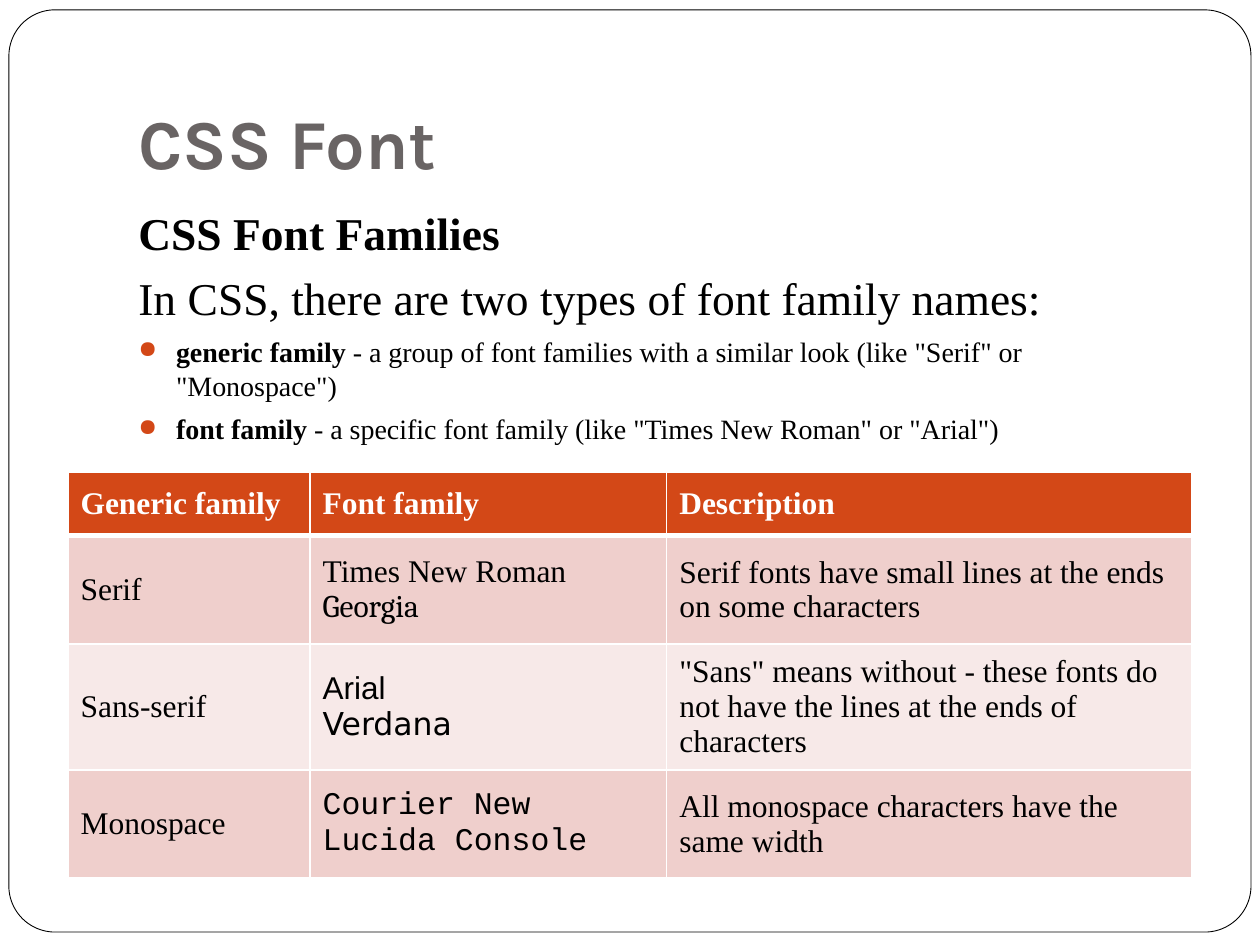
from lxml import etree
from pptx import Presentation, util as u
from pptx.dml.color import RGBColor
from pptx.enum import shapes, text
from pptx.oxml.ns import qn

SERIF = "Times New Roman"
BLACK, WHITE, ORANGE, GREY = "000000", "FFFFFF", "D34817", "696464"
BANDS = ["EFCFCC", "F7E9E8"]


def color(value):
    """Return a colour from a hex string."""
    return RGBColor.from_string(value)


def child(parent, tag, **attributes):
    """Append a DrawingML element with attributes."""
    element = etree.SubElement(parent, qn("a:" + tag))
    for name, value in attributes.items():
        element.set(name, str(value))
    return element


class SlideBuilder:
    """Holds the current slide and its text style."""

    def __init__(self, slide):
        self.slide = slide

    def style(self, font, size, ink=BLACK, bold=None, name=SERIF):
        """Set the main font properties."""
        font.name, font.size, font.bold = name, u.Pt(size), bold
        font.color.rgb = color(ink)

    def frame(self, left, top, width, height):
        """Draw the rounded outline around the slide."""
        shape = self.slide.shapes.add_shape(
            shapes.MSO_SHAPE.ROUNDED_RECTANGLE,
            u.Cm(left), u.Cm(top), u.Cm(width), u.Cm(height))
        shape.adjustments[0] = 0.05
        shape.shadow.inherit = False
        shape.fill.solid()
        shape.fill.fore_color.rgb = color(WHITE)
        shape.line.color.rgb = color(BLACK)
        shape.line.width = u.Pt(0.5)

    def text_box(self, left, top, width, height, anchor=text.MSO_ANCHOR.TOP):
        """Add a wrapping text box and return its text frame."""
        shape = self.slide.shapes.add_textbox(
            u.Cm(left), u.Cm(top), u.Cm(width), u.Cm(height))
        text_frame = shape.text_frame
        text_frame.word_wrap = True
        text_frame.vertical_anchor = anchor
        return text_frame

    def title(self, words, *place):
        """Add the slide title."""
        text_frame = self.text_box(*place, anchor=text.MSO_ANCHOR.BOTTOM)
        text_frame.margin_bottom = u.Cm(0.25)
        paragraph = text_frame.paragraphs[0]
        paragraph.text = words
        self.style(paragraph.font, 40, GREY, True, "Karla")

    def body(self, items, *place):
        """Add paragraphs given as (size, bulleted, bold words, plain words)."""
        text_frame = self.text_box(*place)
        for index, (size, bulleted, strong, plain) in enumerate(items):
            paragraph = (text_frame.add_paragraph() if index
                         else text_frame.paragraphs[0])
            paragraph.space_before = u.Pt(5.8)
            self.style(paragraph.font, size)
            for words, bold in ((strong, True), (plain, False)):
                if words:
                    run = paragraph.add_run()
                    run.text, run.font.bold = words, bold
            self.hang(paragraph, bulleted)

    def hang(self, paragraph, bulleted):
        """Give a paragraph a hanging indent and, if asked, a bullet."""
        properties = paragraph._p.get_or_add_pPr()
        properties.set("marL", str(u.Cm(0.76)))
        properties.set("indent", str(-u.Cm(0.76)))
        bullet = []
        if bulleted:
            holder = child(properties, "buClr")
            child(holder, "srgbClr", val=ORANGE)
            bullet = [holder, child(properties, "buSzPct", val=85000),
                      child(properties, "buChar", char="●")]
        defaults = properties.find(qn("a:defRPr"))
        for element in bullet:
            defaults.addprevious(element)

    def table(self, rows, left, top, widths, heights):
        """Add a table whose cells are lists of (words, font) lines."""
        table = self.slide.shapes.add_table(
            len(rows), len(widths), u.Cm(left), u.Cm(top),
            u.Cm(sum(widths)), u.Cm(sum(heights))).table
        for column, width in zip(table.columns, widths):
            column.width = u.Cm(width)
        for index, (row, height) in enumerate(zip(rows, heights)):
            table.rows[index].height = u.Cm(height)
            for position, lines in enumerate(row):
                self.cell(table.cell(index, position), lines, index)

    def cell(self, cell, lines, row):
        """Fill one table cell and draw its borders."""
        header = row == 0
        cell.vertical_anchor = text.MSO_ANCHOR.MIDDLE
        paragraph = cell.text_frame.paragraphs[0]
        self.style(paragraph.font, 18, WHITE if header else BLACK, header)
        for index, (words, name) in enumerate(lines):
            if index:
                paragraph.add_line_break()
            run = paragraph.add_run()
            run.text, run.font.name = words, name
        properties = cell._tc.get_or_add_tcPr()
        widths = {"lnL": 1, "lnR": 1, "lnT": 3 if row == 1 else 1,
                  "lnB": 3 if header else 1}
        for side, width in widths.items():
            line = child(properties, side, w=u.Pt(width))
            child(child(line, "solidFill"), "srgbClr", val=WHITE)
        cell.fill.solid()
        cell.fill.fore_color.rgb = color(
            ORANGE if header else BANDS[(row - 1) % 2])


def serif(words):
    """Return a one-line cell in the main font."""
    return [(words, SERIF)]


presentation = Presentation()
presentation.slide_width, presentation.slide_height = u.Cm(25.4), u.Cm(19.05)
builder = SlideBuilder(
    presentation.slides.add_slide(presentation.slide_layouts[6]))
builder.frame(0.18, 0.2, 25.04, 18.59)
builder.title("CSS Font", 2.54, 0.76, 21.59, 3.18)
builder.body([
    (26, False, "CSS Font Families", ""),
    (26, False, "", "In CSS, there are two types of font family names:"),
    (16, True, "generic family", " - a group of font families with a similar "
     'look (like "Serif" or "Monospace")'),
    (16, True, "font family",
     ' - a specific font family (like "Times New Roman" or "Arial")'),
], 2.54, 4.01, 21.59, 12.7)
builder.table([
    [serif("Generic family"), serif("Font family"), serif("Description")],
    [serif("Serif"),
     [("Times New Roman", SERIF), ("Georgia", "Cambria")],
     serif("Serif fonts have small lines at the ends on some characters")],
    [serif("Sans-serif"),
     [("Arial", "Arial"), ("Verdana", "DejaVu Sans")],
     serif('"Sans" means without - these fonts do not have the lines at the '
           "ends of characters")],
    [serif("Monospace"),
     [("Courier New", "Courier New"), ("Lucida Console", "Courier New")],
     serif("All monospace characters have the same width")],
], 1.37, 9.53, [4.88, 7.19, 10.59], [1.27] + [2.18] * 3)
presentation.save("out.pptx")
